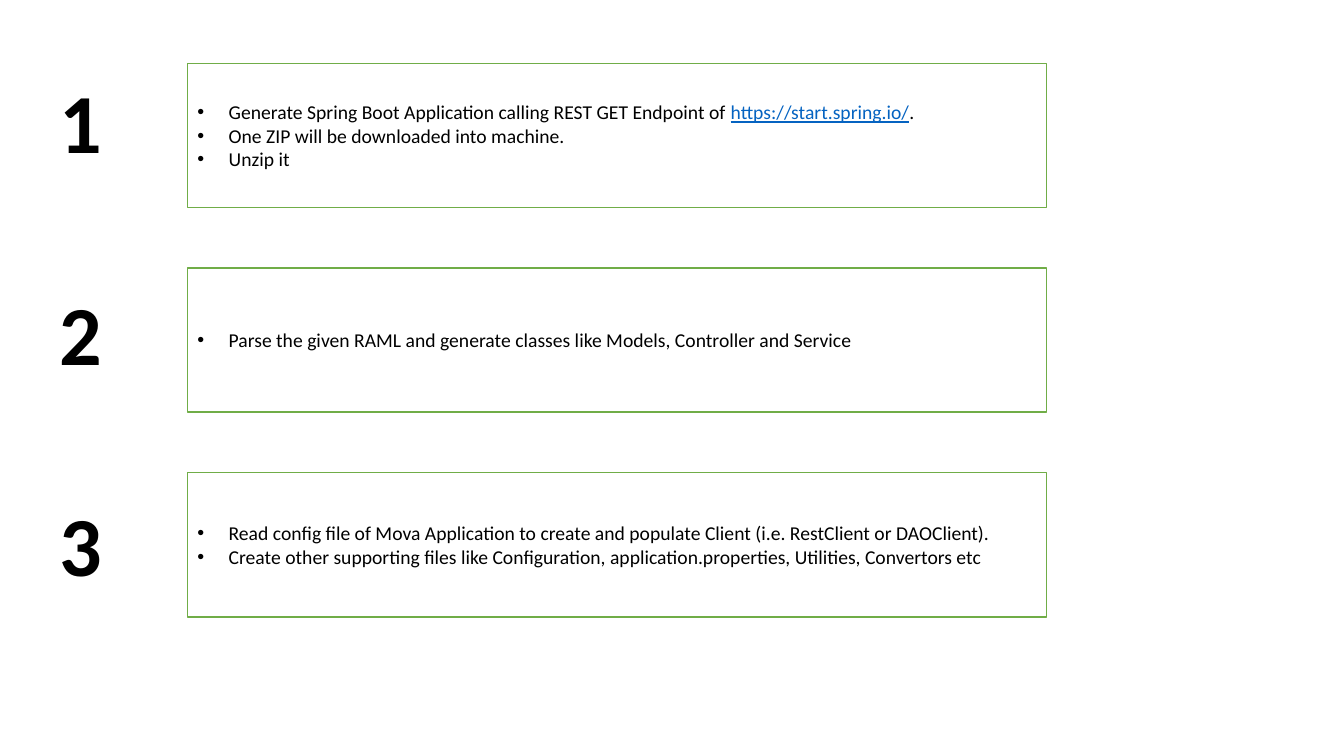
"""Build a slide with three numbered steps for generating an application."""
from lxml import etree
from pptx import Presentation
from pptx.dml.color import RGBColor
from pptx.enum.shapes import MSO_SHAPE
from pptx.enum.text import MSO_ANCHOR, MSO_AUTO_SIZE, PP_ALIGN
from pptx.oxml.ns import qn
from pptx.util import Inches, Pt

RECTANGLE = MSO_SHAPE.RECTANGLE
MIDDLE = MSO_ANCHOR.MIDDLE
FIT_SHAPE = MSO_AUTO_SIZE.SHAPE_TO_FIT_TEXT
LEFT = PP_ALIGN.LEFT

BLACK = RGBColor(0x00, 0x00, 0x00)
WHITE = RGBColor(0xFF, 0xFF, 0xFF)
GREEN = RGBColor(0x70, 0xAD, 0x47)
LINK_BLUE = RGBColor(0x05, 0x63, 0xC1)

BODY = {"name": "Calibri", "size": Pt(14)}
NUMBER = {"name": "Calibri", "size": Pt(60), "bold": True}
LINK = {**BODY, "underline": True}

STEPS = [
    [
        [
            ("Generate Spring Boot Application calling REST GET Endpoint of ", BODY, BLACK),
            ("https://start.spring.io/", LINK, LINK_BLUE),
            (".", BODY, BLACK),
        ],
        [("One ZIP will be downloaded into machine.", BODY, BLACK)],
        [("Unzip it", BODY, BLACK)],
    ],
    [
        [("Parse the given RAML and generate classes like Models, Controller and Service", BODY, BLACK)],
    ],
    [
        [("Read config file of Mova Application to create and populate Client "
          "(i.e. RestClient or DAOClient).", BODY, BLACK)],
        [("Create other supporting files like Configuration, application.properties, "
          "Utilities, Convertors etc", BODY, BLACK)],
    ],
]


def add_run(p, text, font, color):
    r = p.add_run()
    r.text = text
    for name, value in font.items():
        setattr(r.font, name, value)
    r.font.color.rgb = color


def add_bullet(p):
    pPr = p._p.get_or_add_pPr()
    pPr.set("marL", str(Inches(0.31)))
    pPr.set("indent", str(-Inches(0.31)))
    etree.SubElement(pPr, qn("a:buFont")).set("typeface", "Arial")
    etree.SubElement(pPr, qn("a:buChar")).set("char", "•")


prs = Presentation()
prs.slide_width = Inches(13.33)
prs.slide_height = Inches(7.5)
s = prs.slides.add_slide(prs.slide_layouts[6])

for i, bullets in enumerate(STEPS):
    sp = s.shapes.add_shape(RECTANGLE, Inches(1.86), Inches(0.63 + 2.03 * i),
                            Inches(8.52), Inches(1.43))
    sp.name = f"Step {i + 1}"
    sp.shadow.inherit = False
    sp.fill.solid()
    sp.fill.fore_color.rgb = WHITE
    sp.line.color.rgb = GREEN
    sp.line.width = Pt(1)
    tf = sp.text_frame
    tf.word_wrap = True
    tf.vertical_anchor = MIDDLE
    for j, runs in enumerate(bullets):
        p = tf.add_paragraph() if j else tf.paragraphs[0]
        p.alignment = LEFT
        add_bullet(p)
        for text, font, color in runs:
            add_run(p, text, font, color)

    number = s.shapes.add_textbox(Inches(0.49), Inches(0.64 + 2.1 * i),
                                  Inches(0.57), Inches(1.11))
    number.name = f"Number {i + 1}"
    tf = number.text_frame
    tf.word_wrap = True
    tf.auto_size = FIT_SHAPE
    add_run(tf.paragraphs[0], str(i + 1), NUMBER, BLACK)

prs.save("out.pptx")
